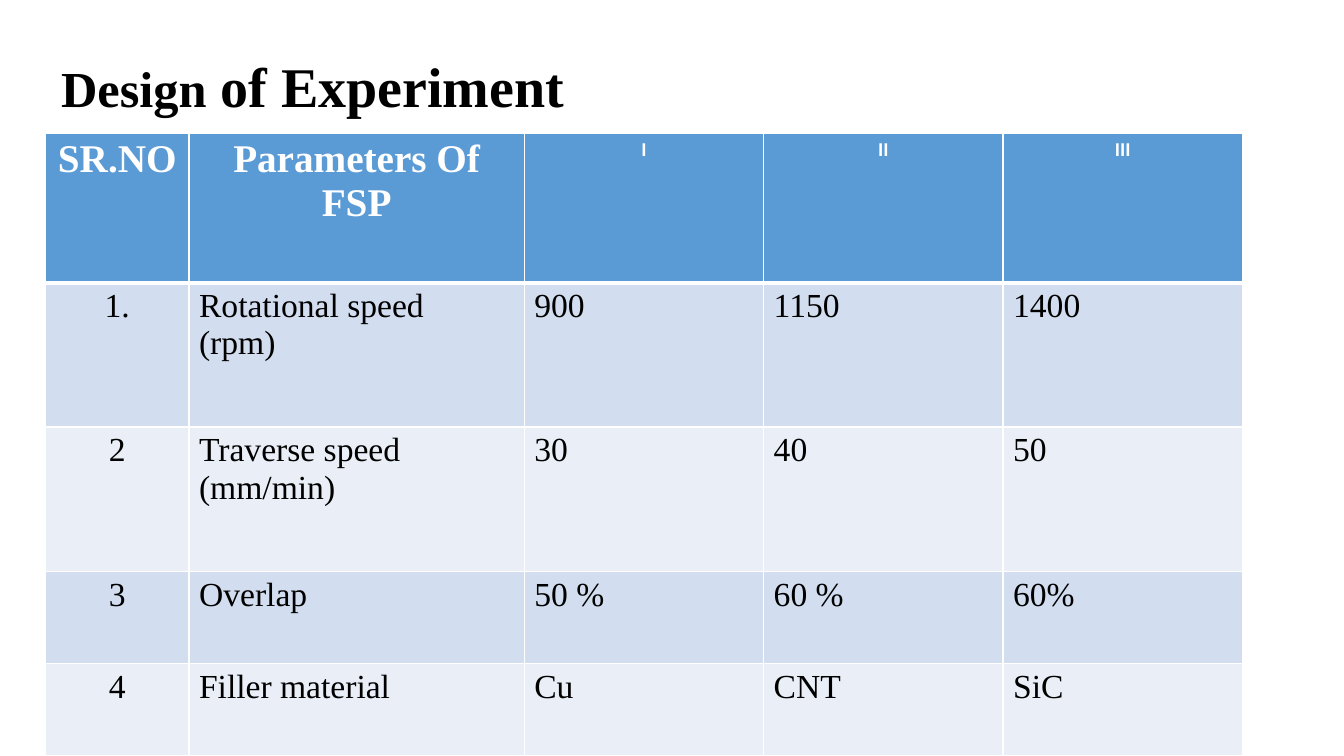
from lxml import etree
from pptx import Presentation
from pptx import util as u
from pptx.dml.color import RGBColor
from pptx.enum import text
from pptx.oxml.ns import qn

SERIF, SANS = "Times New Roman", "Calibri"
WHITE, BLACK, BLUE = "FFFFFF", "000000", "5B9BD5"
BANDS = ["EAEFF7", "D2DEEF"]
TITLE = [("Design", 36), (" of Experiment", 40)]
ROWS = [
    ("SR.NO", "Parameters Of\nFSP", "I", "II", "III"),
    ("1.", "Rotational speed\n(rpm)", "900", "1150", "1400"),
    ("2", "Traverse speed\n(mm/min)", "30", "40", "50"),
    ("3", "Overlap", "50 %", "60 %", "60%"),
    ("4", "Filler material", "Cu", "CNT", "SiC"),
]
WIDTHS = [102.5, 239.5, 171, 171, 171]
HEIGHTS = [107, 103, 103, 66, 66]


def color(code):
    return RGBColor.from_string(code)


def style(run, size, face, code, bold):
    font = run.font
    font.size, font.name, font.bold = u.Pt(size), face, bold
    font.color.rgb = color(code)


def border(cell, top, low):
    props = cell._tc.get_or_add_tcPr()
    sides = [("L", 1), ("R", 1), ("T", top), ("B", low)]
    for i, (side, width) in enumerate(sides):
        line = etree.Element(qn("a:ln" + side), w=str(u.Pt(width)))
        fill = etree.SubElement(line, qn("a:solidFill"))
        etree.SubElement(fill, qn("a:srgbClr"), val=WHITE)
        props.insert(i, line)


def fill_cell(cell, words, row, col):
    head = row == 0
    cell.fill.solid()
    cell.fill.fore_color.rgb = color(BLUE if head else BANDS[row % 2])
    border(cell, 3 if row == 1 else 1, 3 if head else 1)
    cell.margin_left = cell.margin_right = u.Pt(7.2)
    cell.margin_top = cell.margin_bottom = u.Pt(3.6)
    cell.text_frame.text = words
    small = head and col > 1
    size = 14 if small else 28 if head else 24
    for para in cell.text_frame.paragraphs:
        mid = head or col == 0
        para.alignment = text.PP_ALIGN.CENTER if mid else text.PP_ALIGN.LEFT
        for run in para.runs:
            style(run, size, SANS if small else SERIF,
                  WHITE if head else BLACK, head)


def add_grid(slide):
    frame = slide.shapes.add_table(
        len(ROWS), len(WIDTHS), u.Pt(32.5), u.Pt(95),
        u.Pt(sum(WIDTHS)), u.Pt(sum(HEIGHTS)))
    grid = frame.table
    for col, width in zip(grid.columns, WIDTHS):
        col.width = u.Pt(width)
    for r, (height, cells) in enumerate(zip(HEIGHTS, ROWS)):
        grid.rows[r].height = u.Pt(height)
        for c, words in enumerate(cells):
            fill_cell(grid.cell(r, c), words, r, c)


def add_title(slide):
    box = slide.shapes.add_textbox(u.Pt(36.5), u.Pt(32.5), u.Pt(879), u.Pt(55.5))
    frame = box.text_frame
    frame.word_wrap = True
    frame.vertical_anchor = text.MSO_ANCHOR.BOTTOM
    for words, size in TITLE:
        run = frame.paragraphs[0].add_run()
        run.text = words
        style(run, size, SERIF, BLACK, True)


def main():
    deck = Presentation()
    deck.slide_width, deck.slide_height = u.Pt(960), u.Pt(540)
    slide = deck.slides.add_slide(deck.slide_layouts[6])
    add_grid(slide)
    add_title(slide)
    deck.save("out.pptx")


if __name__ == "__main__":
    main()
